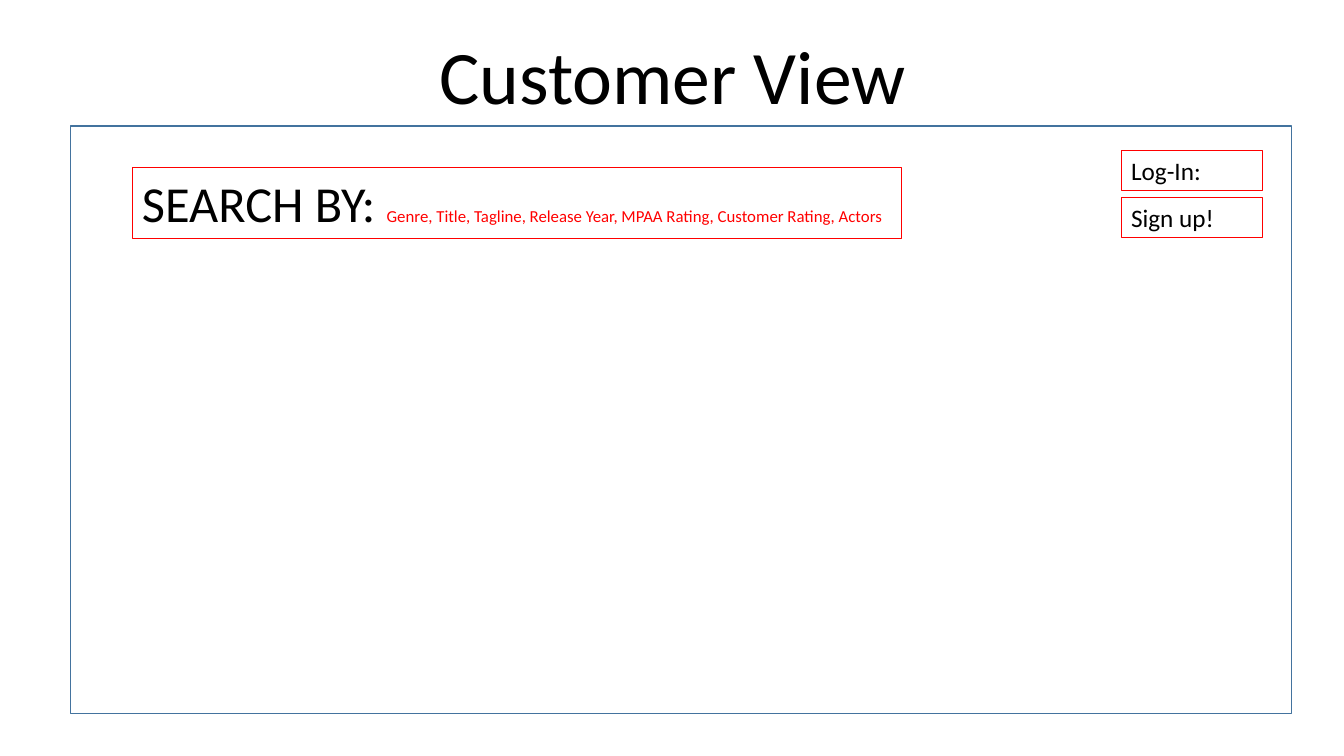
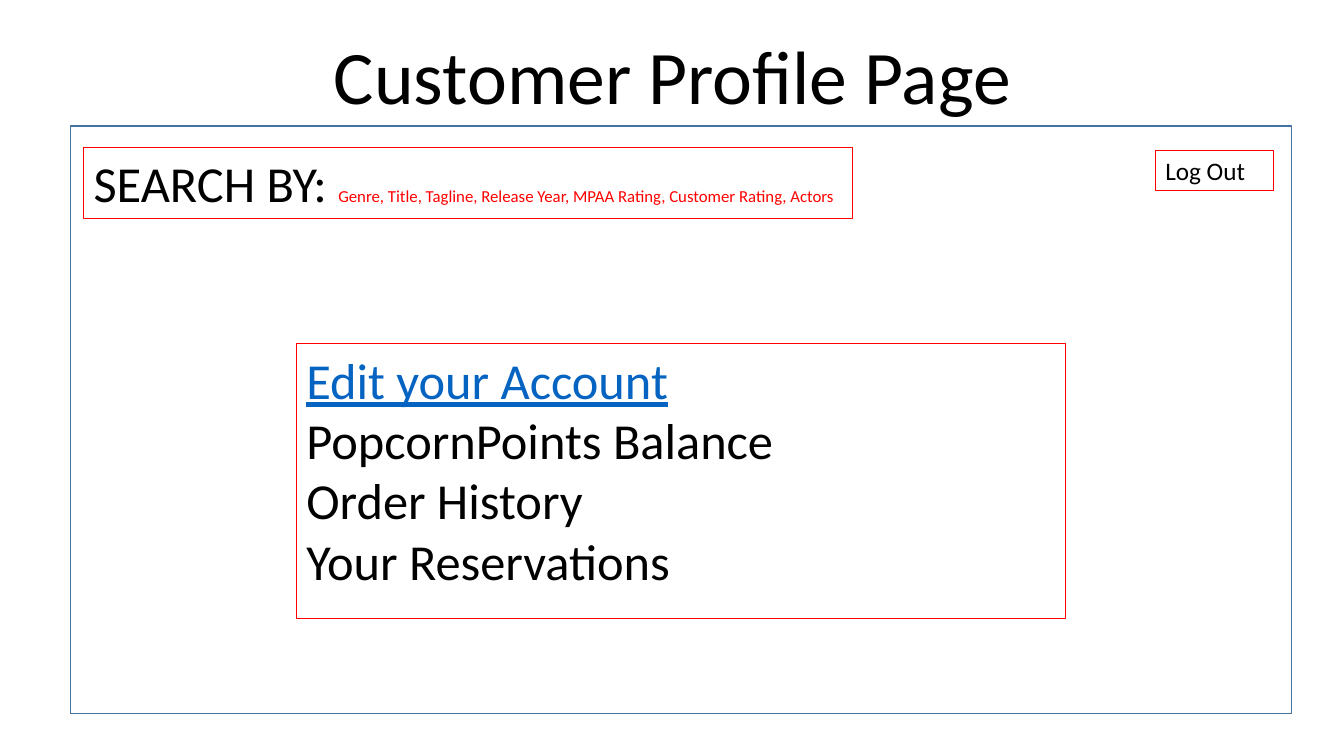
from pptx import Presentation
from pptx.dml.color import RGBColor
from pptx.enum.shapes import MSO_SHAPE
from pptx.enum.text import MSO_ANCHOR, MSO_AUTO_SIZE, PP_ALIGN
from pptx.util import Inches, Pt

RECTANGLE = MSO_SHAPE.RECTANGLE
BOTTOM = MSO_ANCHOR.BOTTOM
GROW = MSO_AUTO_SIZE.SHAPE_TO_FIT_TEXT
NO_GROW = MSO_AUTO_SIZE.NONE
CENTER = PP_ALIGN.CENTER

FONT = "Calibri"
BLACK = "000000"
RED = "FF0000"
FRAME_BLUE = "43739E"
LINK_BLUE = "0563C1"

WIDE = 7.63
BUTTON_TOP = 1.49
BUTTON_STEP = 0.47
SEARCH_FIELDS = ("Genre, Title, Tagline, Release Year, MPAA Rating, "
                 "Customer Rating, Actors ")


def rgb(value):
    return RGBColor.from_string(value)


def add_run(p, text, size, color=BLACK, underline=False):
    r = p.add_run()
    r.text = text
    r.font.name = FONT
    r.font.size = Pt(size)
    r.font.color.rgb = rgb(color)
    if underline:
        r.font.underline = True


def add_outline(sp, color, width):
    sp.line.color.rgb = rgb(color)
    sp.line.width = Pt(width)


def add_text_box(s, left, top, width, height):
    sp = s.shapes.add_textbox(Inches(left), Inches(top), Inches(width), Inches(height))
    sp.text_frame.word_wrap = True
    return sp


def add_title(s, text):
    tf = add_text_box(s, 1.67, 0.6, 10, 0.65).text_frame
    tf.auto_size = NO_GROW
    tf.vertical_anchor = BOTTOM
    p = tf.paragraphs[0]
    p.alignment = CENTER
    p.line_spacing = 0.9
    add_run(p, text, 54)


def add_page_frame(s):
    sp = s.shapes.add_shape(RECTANGLE, Inches(0.7), Inches(1.25),
                            Inches(12.11), Inches(5.83))
    sp.shadow.inherit = False
    sp.fill.background()
    add_outline(sp, FRAME_BLUE, 1)


def add_red_box(s, left, top, width, height, lines):
    sp = add_text_box(s, left, top, width, height)
    add_outline(sp, RED, 0.75)
    tf = sp.text_frame
    tf.auto_size = GROW
    for i, runs in enumerate(lines):
        p = tf.add_paragraph() if i else tf.paragraphs[0]
        for run in runs:
            add_run(p, *run)


def add_search_box(s, left, top):
    runs = [("SEARCH BY: ", 36), (SEARCH_FIELDS, 12, RED)]
    add_red_box(s, left, top, WIDE, 0.71, [runs])


def add_buttons(s, left, width, labels):
    for i, label in enumerate(labels):
        add_red_box(s, left, BUTTON_TOP + i * BUTTON_STEP, width, 0.4, [[(label, 18)]])


def add_account_menu(s, link, items):
    lines = [[(link, 36, LINK_BLUE, True)]] + [[(item, 36)] for item in items]
    add_red_box(s, 2.94, 3.41, WIDE, 2.73, lines)


def add_page(prs, title):
    s = prs.slides.add_slide(prs.slide_layouts[6])
    add_title(s, title)
    add_page_frame(s)
    return s


def main():
    prs = Presentation()
    prs.slide_width = Inches(13.33)
    prs.slide_height = Inches(7.5)

    s = add_page(prs, "Customer View")
    add_search_box(s, 1.31, 1.66)
    add_buttons(s, 11.12, 1.4, ["Log-In:", "Sign up!"])

    s = add_page(prs, "Customer Profile Page")
    add_account_menu(s, "Edit your Account",
                     ["PopcornPoints Balance", "Order History", "Your Reservations"])
    add_search_box(s, 0.83, 1.46)
    add_buttons(s, 11.46, 1.17, ["Log Out"])

    prs.save("out.pptx")


main()
